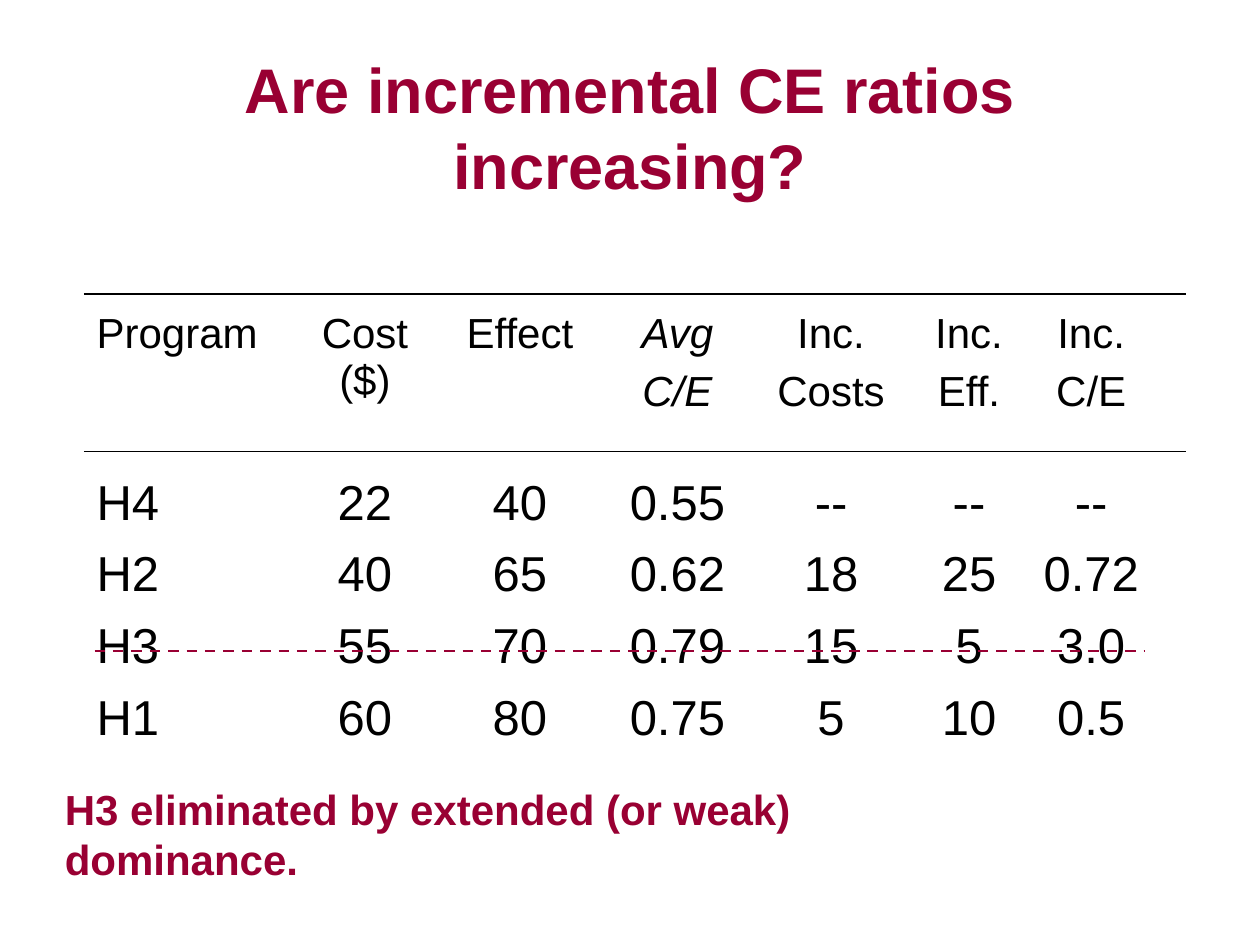
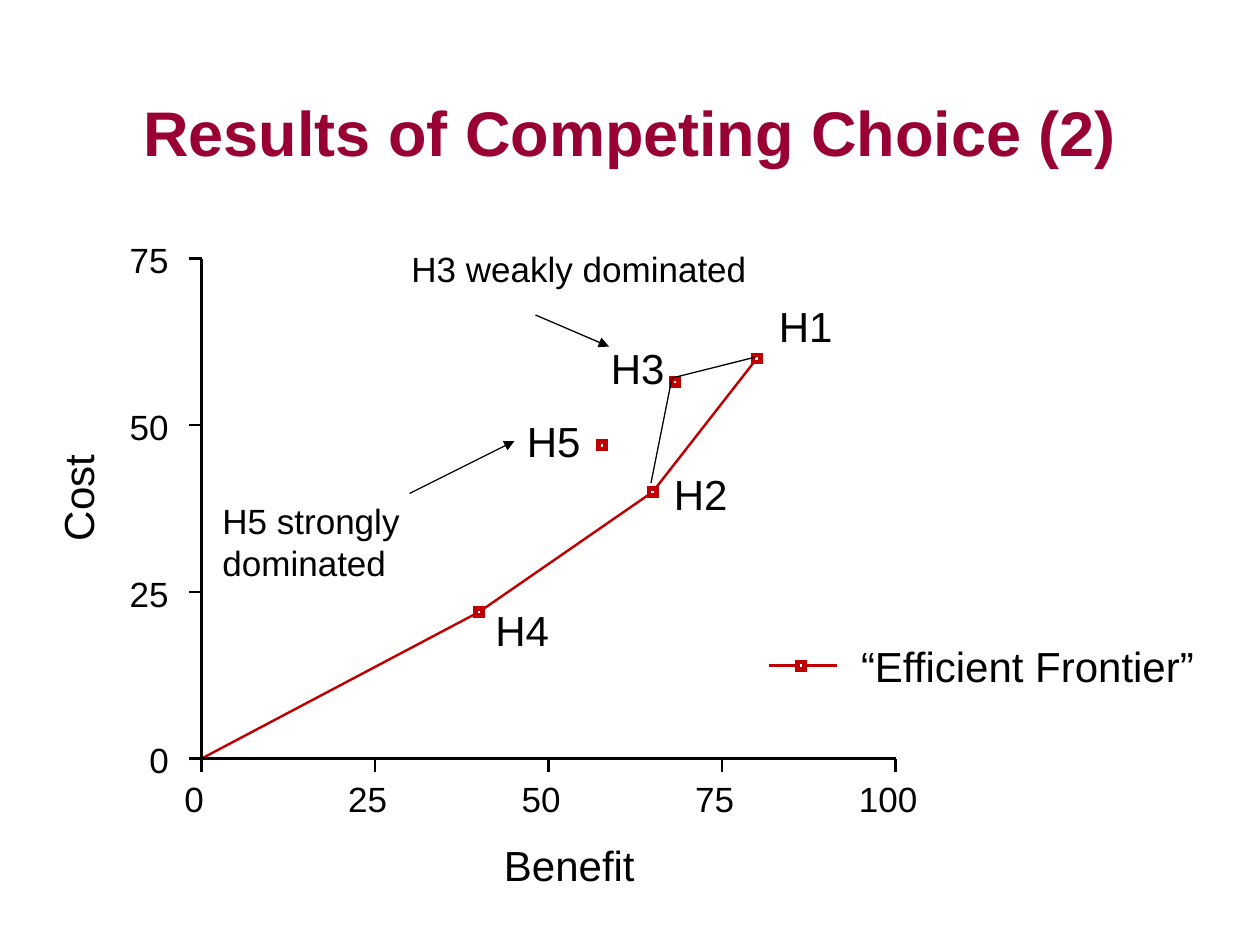
"""Build two slides on cost-effectiveness: a ratio table and an efficiency frontier."""
from itertools import pairwise

from lxml.etree import SubElement
from pptx import Presentation
from pptx.dml.color import RGBColor
from pptx.enum.dml import MSO_LINE
from pptx.enum.shapes import MSO_CONNECTOR, MSO_SHAPE
from pptx.enum.text import MSO_ANCHOR, MSO_AUTO_SIZE, PP_ALIGN
from pptx.oxml.ns import qn
from pptx.util import Inches, Pt

FONT = "Arial"
INK, WINE, RED, WHITE = "000000", "990033", "C00000", "FFFFFF"
CELLS = 12
AXIS = 1.39
ORIGIN = (19.2, 72.25)
SCALE = (0.661, 0.635)
DIGIT = 1.87

HEAD = ["Program", "Cost ($)", "Effect", "Avg\nC/E", "Inc.\nCosts", "Inc.\nEff.", "Inc.\nC/E"]
ROWS = [
    ["H4", "22", "40", "0.55", "--", "--", "--"],
    ["H2", "40", "65", "0.62", "18", "25", "0.72"],
    ["H3", "55", "70", "0.79", "15", "5", "3.0"],
    ["H1", "60", "80", "0.75", "5", "10", "0.5"],
    [""] * 7,
]
WIDTHS = [1.66, 1.14, 1.32, 1.18, 1.26, 0.93, 1.01]
HEIGHTS = [1.31] + [0.57] * 5

FRONT = [(0, 0), (40, 22), (65, 40), (80, 60)]
OTHERS = [(57.7, 47), (68.2, 56.5)]
NAMES = [("H4", 46, 57), ("H2", 63, 44), ("H1", 73, 28), ("H3", 57, 32), ("H5", 49, 39)]


def tint(code):
    return RGBColor.from_string(code)


def grid(*cells):
    return [Inches(cell / CELLS) for cell in cells]


def plot(gain, cost):
    return ORIGIN[0] + gain * SCALE[0], ORIGIN[1] - cost * SCALE[1]


class Deck:
    """Hold the shared style and the current slide, and draw each kind of element."""

    def __init__(self):
        self.file = Presentation()
        self.file.slide_width, self.file.slide_height = Inches(10), Inches(7.5)
        self.slide = None

    def page(self, title, height):
        self.slide = self.file.slides.add_slide(self.file.slide_layouts[6])
        box = self.text(title, (9, 5, 102, height), 36, WINE, bold=True, wrap=True)
        box.text_frame.vertical_anchor = MSO_ANCHOR.MIDDLE
        box.text_frame.paragraphs[0].alignment = PP_ALIGN.CENTER

    def style(self, para, size, color=INK, bold=False):
        font = para.font
        font.name, font.size, font.bold = FONT, Pt(size), bold
        font.color.rgb = tint(color)

    def text(self, words, spot, size=24, color=INK, bold=False, wrap=False, pad=True):
        box = self.slide.shapes.add_textbox(*grid(*spot))
        frame = box.text_frame
        frame.word_wrap = wrap
        if not wrap:
            frame.auto_size = MSO_AUTO_SIZE.SHAPE_TO_FIT_TEXT
        frame.margin_left = frame.margin_right = Inches(0.1 * pad)
        frame.margin_top = frame.margin_bottom = Inches(0.05 * pad)
        frame.text = words
        self.style(frame.paragraphs[0], size, color, bold)
        return box

    def line(self, start, end, color=INK, width=AXIS, dash=False, arrow=False):
        link = self.slide.shapes.add_connector(MSO_CONNECTOR.STRAIGHT, *grid(*start, *end))
        link.line.color.rgb = tint(color)
        link.line.width = Pt(width)
        if dash:
            link.line.dash_style = MSO_LINE.DASH
        props = link._element.spPr
        if arrow:
            SubElement(props.find(qn("a:ln")), qn("a:tailEnd"), type="triangle")
        SubElement(props, qn("a:effectLst"))

    def mark(self, col, row, side=0.7):
        spot = grid(col - side / 2, row - side / 2, side, side)
        dot = self.slide.shapes.add_shape(MSO_SHAPE.RECTANGLE, *spot)
        dot.shadow.inherit = False
        dot.fill.solid()
        dot.fill.fore_color.rgb = tint(WHITE)
        dot.line.color.rgb = tint(RED)
        dot.line.width = Pt(2.64)
        SubElement(dot._element.spPr.find(qn("a:ln")), qn("a:miter"), lim="800000")

    def table(self, rows, spot):
        table = self.slide.shapes.add_table(len(rows), len(WIDTHS), *grid(*spot)).table
        table.first_row = table.horz_banding = False
        for col, width in zip(table.columns, WIDTHS):
            col.width = Inches(width)
        for row, height in zip(table.rows, HEIGHTS):
            row.height = Inches(height)
        for r, row in enumerate(rows):
            for c, words in enumerate(row):
                cell = table.cell(r, c)
                cell.fill.background()
                cell.text = words
                for para in cell.text_frame.paragraphs:
                    self.style(para, 28 if r else 24)
                    para.space_before = Pt(7 if r else 6)
                    para.alignment = PP_ALIGN.CENTER if c else PP_ALIGN.LEFT
                    para.font.italic = r == 0 and c == 3

    def ticks(self):
        for value in range(0, 101, 25):
            col, row = plot(value, 0)
            wide = DIGIT * len(str(value))
            self.line((col, row), (col, row + 1.3))
            self.text(str(value), (col - 0.7 - wide / 2, 74, wide, 4), 20, pad=False)
        for value in range(0, 76, 25):
            col, row = plot(0, value)
            wide = DIGIT * len(str(value))
            self.line((col, row), (col - 1.2, row))
            self.text(str(value), (16.1 - wide, row - 1.9, wide, 4), 20, pad=False)


def ratios(deck):
    deck.page("Are incremental CE ratios increasing?", 14)
    deck.table([HEAD] + ROWS, (8, 29, 102, 50))
    for row in (28, 43):
        deck.line((8, row), (113, row), width=1)
    deck.line((9, 62), (109, 62), WINE, 1.5, dash=True)
    deck.text("H3 eliminated by extended (or weak) dominance.", (5, 74, 94.8, 6), 24, WINE, bold=True)


def choice(deck):
    deck.page("Results of Competing Choice (2)", 15)
    for start, end in pairwise(FRONT):
        deck.line(plot(*start), plot(*end), RED)
    deck.line(ORIGIN, plot(100, 0))
    deck.line(ORIGIN, plot(0, 75))
    deck.ticks()
    deck.line((73.2, 63.4), (79.7, 63.4), RED)
    for point in FRONT[1:] + OTHERS:
        deck.mark(*plot(*point))
    deck.mark(76.3, 63.4)
    deck.text("“Efficient Frontier”", (82, 61, 31.8, 4.8), pad=False)
    deck.text("Benefit", (48, 80, 12.5, 4.8), pad=False)
    deck.text("Cost", (3.2, 45, 8.3, 4.8), pad=False).rotation = 270
    for name, col, row in NAMES:
        deck.text(name, (col, row, 7.5, 6))
    deck.text("H3 weakly dominated", (38, 23, 34.3, 5.3), 20)
    deck.text("H5 strongly dominated", (20, 47, 33.2, 9.2), 20, wrap=True)
    deck.line((39, 47), (49, 42), width=0.75, arrow=True)
    deck.line((51, 30), (58, 33), width=0.75, arrow=True)
    for end in ((72, 34), (62, 46)):
        deck.line(end, (64, 36), width=0.75)


def main():
    deck = Deck()
    ratios(deck)
    choice(deck)
    deck.file.save("out.pptx")


if __name__ == "__main__":
    main()
